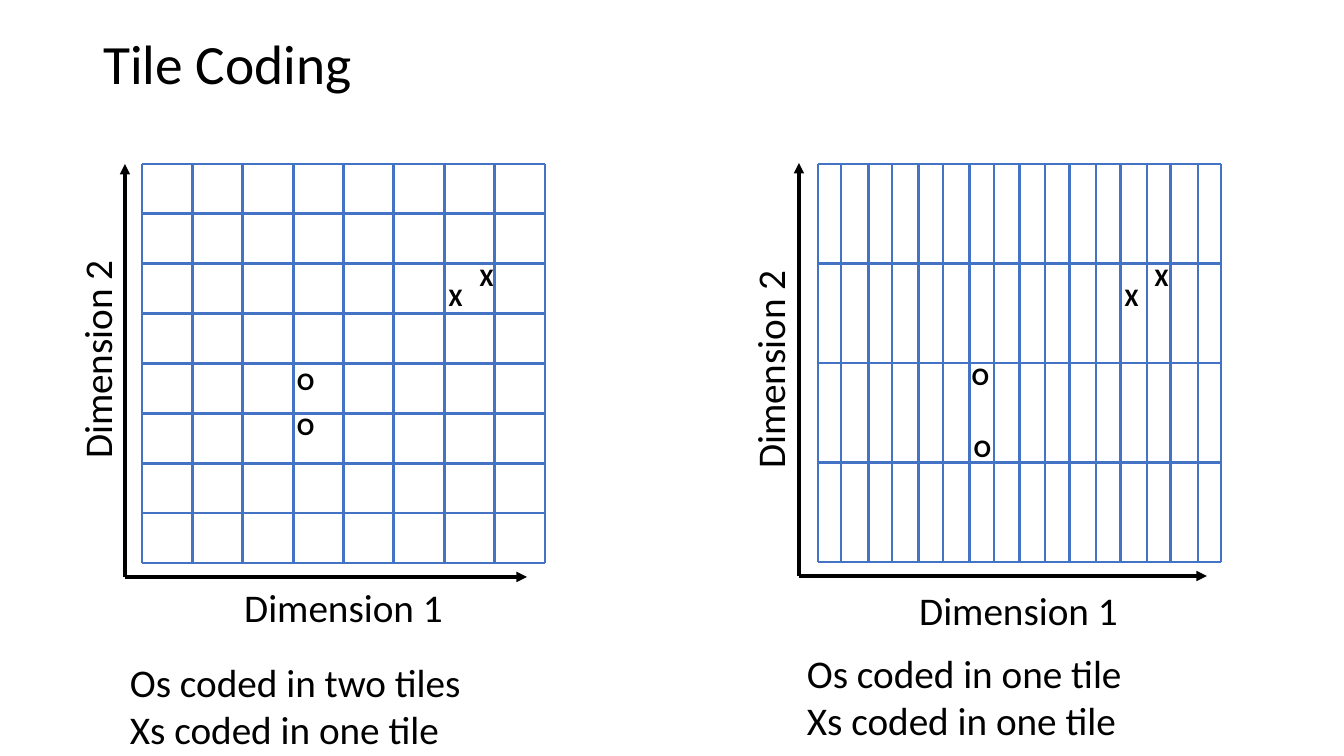
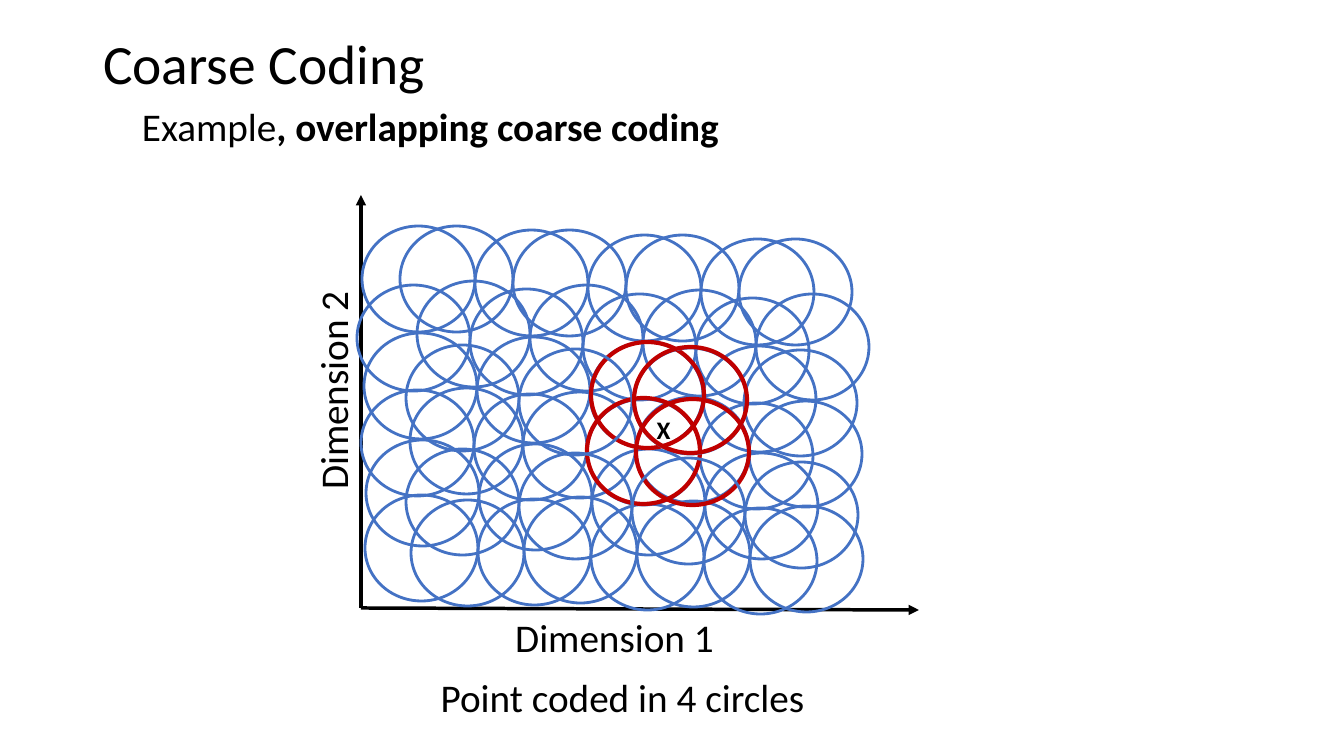
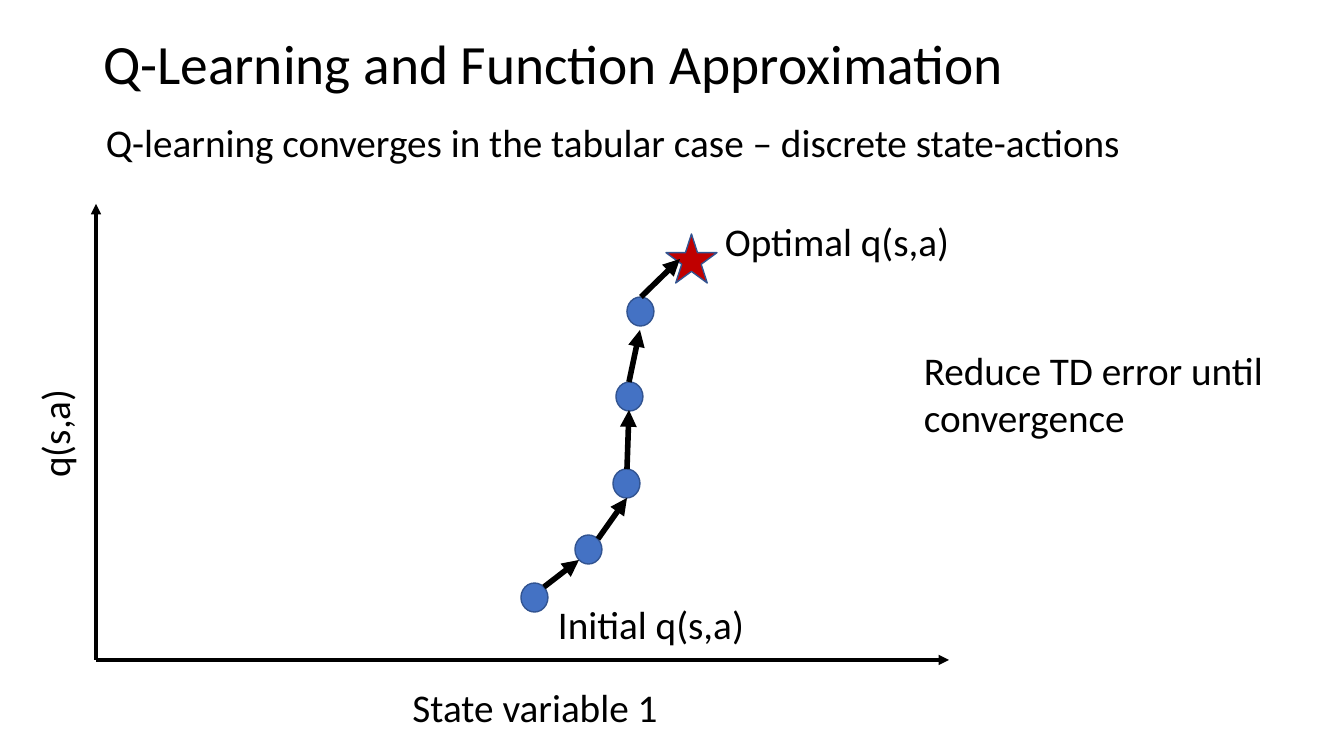
from lxml import etree
from pptx import Presentation
from pptx import util as u
from pptx.dml.color import RGBColor
from pptx.enum import shapes, text
from pptx.oxml import ns

SCALE = 914400 / 100.8
FONT = "Calibri"
BLACK = RGBColor(0x00, 0x00, 0x00)
BLUE = RGBColor(0x44, 0x72, 0xC4)
NAVY = RGBColor(0x32, 0x54, 0x91)
RED = RGBColor(0xC0, 0x00, 0x00)
LEFT = text.PP_ALIGN.LEFT
CENTER = text.PP_ALIGN.CENTER
OVAL = shapes.MSO_SHAPE.OVAL
STAR = shapes.MSO_SHAPE.STAR_5_POINT


def add_text(page, frame, paragraphs, align=LEFT, size=28, rotation=0):
    box = page.shapes.add_textbox(*[round(v * SCALE) for v in frame])
    box.rotation = rotation
    body = box.text_frame
    body.word_wrap = True
    for number, spans in enumerate(paragraphs):
        para = body.paragraphs[0] if number == 0 else body.add_paragraph()
        para.alignment = align
        for words, bold in spans:
            span = para.add_run()
            span.text = words
            span.font.name = FONT
            span.font.size = u.Pt(size)
            span.font.bold = bold
            span.font.color.rgb = BLACK


def add_line(page, ends, color, width, arrow=False):
    line = page.shapes.add_connector(
        shapes.MSO_CONNECTOR.STRAIGHT, *[round(v * SCALE) for v in ends])
    line.line.color.rgb = color
    line.line.width = u.Pt(width)
    properties = line._element.spPr
    if arrow:
        outline = properties.find(ns.qn("a:ln"))
        etree.SubElement(outline, ns.qn("a:tailEnd"), type="triangle")
    etree.SubElement(properties, ns.qn("a:effectLst"))


deck = Presentation()
deck.slide_width = round(1344 * SCALE)
deck.slide_height = round(756 * SCALE)

pages = []
for heading in ["Tile Coding", "Coarse Coding", "Q-Learning and Function Approximation"]:
    page = deck.slides.add_slide(deck.slide_layouts[5])
    title = page.shapes.title
    title.left, title.top, title.width, title.height = [
        round(v * SCALE) for v in (93, 36, 1159, 61)]
    title.text_frame.auto_size = text.MSO_AUTO_SIZE.NONE
    title.text_frame.vertical_anchor = text.MSO_ANCHOR.MIDDLE
    para = title.text_frame.paragraphs[0]
    para.alignment = LEFT
    para.line_spacing = 0.9
    span = para.add_run()
    span.text = heading
    span.font.name = FONT
    span.font.size = u.Pt(39.6)
    span.font.color.rgb = BLACK
    pages.append(page)
tile_page, coarse_page, learning_page = pages

grids = [
    (142, 545, 164, 563, 8, [(142, 545, 8)]),
    (818, 1221, 164, 562, 4, [(818, 1221, 8), (841, 1198, 7)]),
]
for left, right, top, bottom, rows, column_sets in grids:
    for row in range(rows + 1):
        y = top + (bottom - top) * row / rows
        add_line(tile_page, (left, y, right, y), BLUE, 2)
    for first, last, gaps in column_sets:
        for column in range(gaps + 1):
            x = first + (last - first) * column / gaps
            add_line(tile_page, (x, bottom, x, top), BLUE, 2)

marks = [
    (tile_page, "X", 435, 276), (tile_page, "X", 466, 256),
    (tile_page, "O", 285, 360), (tile_page, "O", 285, 405),
    (tile_page, "X", 1111, 276), (tile_page, "X", 1141, 256),
    (tile_page, "O", 962, 427), (tile_page, "O", 960, 355),
    (coarse_page, "X", 643, 409),
]
for page, letter, x, y in marks:
    add_text(page, (x, y, 41, 40), [[(letter, True)]], CENTER, 18)

axes = [
    (tile_page, (125, 577, 125, 164)), (tile_page, (125, 577, 527, 577)),
    (tile_page, (799, 576, 799, 163)), (tile_page, (799, 576, 1207, 576)),
    (coarse_page, (361, 608, 361, 195)), (coarse_page, (361, 608, 919, 610)),
    (learning_page, (96, 660, 96, 204)), (learning_page, (96, 660, 949, 660)),
]
for page, ends in axes:
    add_line(page, ends, BLACK, 2.5, True)

axis_labels = [
    (tile_page, "Dimension 1", 227, 578, 233, 0),
    (tile_page, "Dimension 2", -20, 331, 233, 270),
    (tile_page, "Dimension 1", 902, 581, 233, 0),
    (tile_page, "Dimension 2", 653, 341, 233, 270),
    (coarse_page, "Dimension 1", 498, 608, 233, 0),
    (coarse_page, "Dimension 2", 216, 362, 233, 270),
    (coarse_page, "Point coded in 4 circles", 325, 668, 595, 0),
    (learning_page, "State variable 1", 379, 678, 312, 0),
    (learning_page, "q(s,a)", -62, 405, 233, 270),
]
for page, label, x, y, width, rotation in axis_labels:
    add_text(page, (x, y, width, 57), [[(label, False)]], CENTER, rotation=rotation)

add_text(tile_page, (120, 653, 469, 105),
         [[("Os coded in two tiles", False)], [("Xs coded in one tile", False)]])
add_text(tile_page, (797, 644, 469, 105),
         [[("Os coded in one tile", False)], [("Xs coded in one tile", False)]])
add_text(coarse_page, (132, 97, 902, 57),
         [[("Example", False), (", overlapping coarse coding", True)]])

circle_rows = [
    (365, 495, 4, BLUE, 2), (361, 390, 4, BLUE, 2), (357, 285, 4, BLUE, 2),
    (411, 500, 1, BLUE, 2), (524, 497, 3, BLUE, 2),
    (410, 388, 4, BLUE, 2), (417, 281, 4, BLUE, 2),
    (366, 440, 4, BLUE, 2), (364, 333, 4, BLUE, 2), (362, 226, 4, BLUE, 2),
    (591, 342, 1, RED, 3), (587, 398, 1, RED, 3), (636, 399, 1, RED, 3),
    (400, 226, 4, BLUE, 2), (406, 345, 2, BLUE, 2),
    (634, 348, 1, BLUE, 2), (744, 350, 1, BLUE, 2),
    (406, 449, 4, BLUE, 2), (634, 347, 1, RED, 3),
]
for left, top, count, color, width in circle_rows:
    for column in range(count):
        frame = (left + 113 * column, top + 9 * column // 2, 113, 106)
        circle = coarse_page.shapes.add_shape(OVAL, *[round(v * SCALE) for v in frame])
        circle.shadow.inherit = False
        circle.fill.background()
        circle.line.color.rgb = color
        circle.line.width = u.Pt(width)

dots = [(521, 583), (575, 535), (613, 469), (616, 382), (627, 297)]
states = [(STAR, (666, 234, 51, 49), RED)]
states += [(OVAL, (x, y, 27, 29), BLUE) for x, y in dots]
for kind, frame, color in states:
    state = learning_page.shapes.add_shape(kind, *[round(v * SCALE) for v in frame])
    state.shadow.inherit = False
    state.fill.solid()
    state.fill.fore_color.rgb = color
    state.line.color.rgb = NAVY
    state.line.width = u.Pt(1)

steps = [
    (544, 587, 579, 560), (598, 539, 627, 498), (627, 469, 629, 410),
    (629, 382, 640, 330), (641, 297, 680, 259),
]
for ends in steps:
    add_line(learning_page, ends, BLACK, 4, True)

remarks = [
    ("Q-learning converges in the tabular case – discrete state-actions", (96, 113, 1079, 57)),
    ("Optimal q(s,a)", (715, 212, 431, 57)),
    ("Initial q(s,a)", (548, 595, 431, 57)),
    ("Reduce TD error until convergence", (914, 341, 429, 105)),
]
for remark, frame in remarks:
    add_text(learning_page, frame, [[(remark, False)]])

deck.save("out.pptx")
